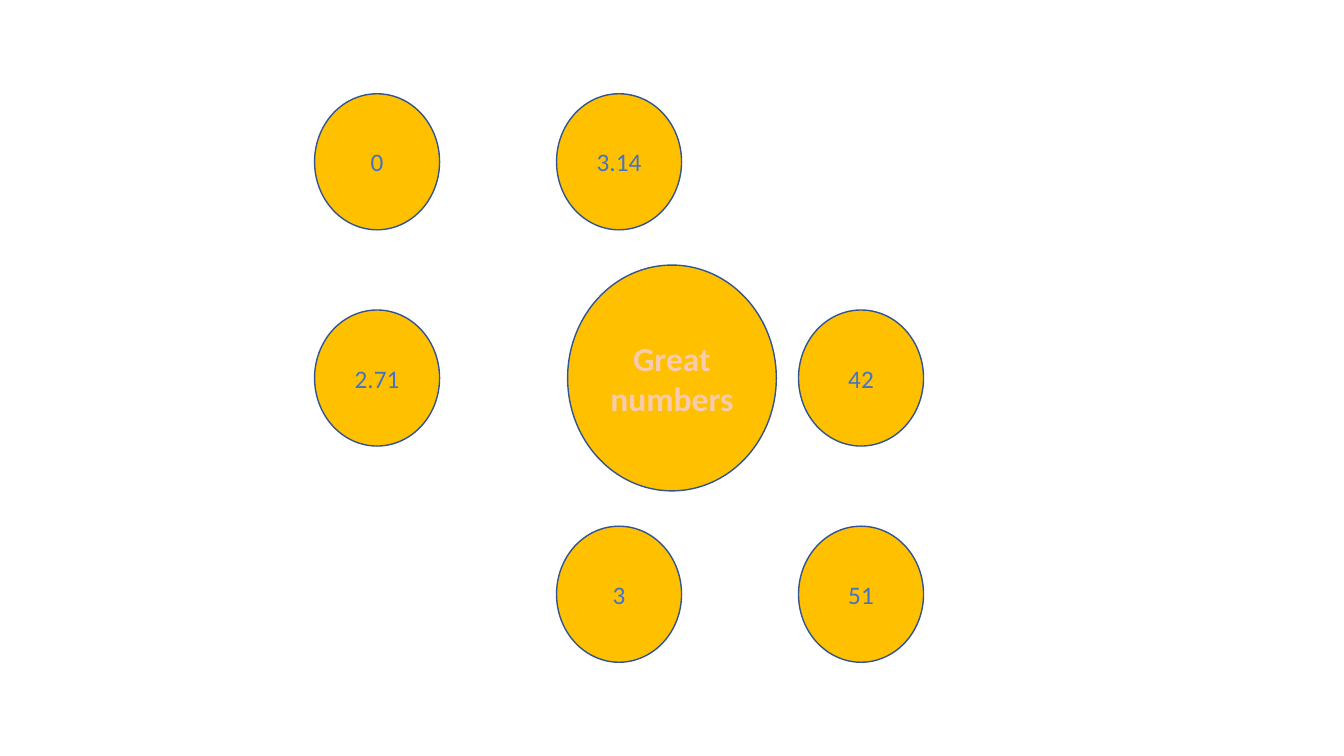
from dataclasses import dataclass

from lxml.etree import SubElement
from pptx import Presentation
from pptx.dml.color import RGBColor
from pptx.enum.shapes import MSO_SHAPE
from pptx.enum.text import MSO_ANCHOR, PP_ALIGN
from pptx.oxml.ns import qn
from pptx.slide import Slide
from pptx.text.text import Font
from pptx.util import Inches, Pt

GOLD = RGBColor(0xFF, 0xC0, 0x00)
NAVY = RGBColor(0x32, 0x54, 0x91)
BLUE = RGBColor(0x44, 0x72, 0xC4)
PEACH = RGBColor(0xF8, 0xCB, 0xAD)
ORANGE = RGBColor(0xED, 0x7D, 0x31)

# Grid of small circles, in inches
LEFT, TOP = 3.12, 0.93
COL, ROW = 2.4, 2.145
WIDE, HIGH = 1.24, 1.35


@dataclass
class Number:
    text: str
    col: int
    row: int


NUMBERS = [
    Number("0", 0, 0),
    Number("42", 2, 1),
    Number("2.71", 0, 1),
    Number("3", 1, 2),
    Number("3.14", 1, 0),
    Number("51", 2, 2),
]


def add_circle(slide: Slide, text: str, left: float, top: float, wide: float,
               high: float, size: int, color: RGBColor) -> Font:
    """Draw a gold circle with centred text and return the text's font."""
    circle = slide.shapes.add_shape(
        MSO_SHAPE.OVAL, Inches(left), Inches(top), Inches(wide), Inches(high))
    circle.shadow.inherit = False
    circle.fill.solid()
    circle.fill.fore_color.rgb = GOLD
    circle.line.color.rgb = NAVY
    circle.line.width = Pt(1)
    frame = circle.text_frame
    frame.text = text
    frame.word_wrap = True
    frame.vertical_anchor = MSO_ANCHOR.MIDDLE
    line = frame.paragraphs[0]
    line.alignment = PP_ALIGN.CENTER
    font = line.runs[0].font
    font.name = "Calibri"
    font.size = Pt(size)
    font.color.rgb = color
    return font


def add_outline(font: Font, color: RGBColor, width: float) -> None:
    """Outline the letters; the outline must come before the fill."""
    props = font._element
    edge = SubElement(props, qn("a:ln"), w=str(Pt(width)))
    fill = SubElement(edge, qn("a:solidFill"))
    SubElement(fill, qn("a:srgbClr"), val=str(color))
    props.insert(0, edge)


def main() -> None:
    deck = Presentation()
    deck.slide_width, deck.slide_height = Inches(13.33), Inches(7.5)
    slide = deck.slides.add_slide(deck.slide_layouts[6])

    # Central circle
    font = add_circle(slide, "Great numbers", 5.63, 2.63, 2.07, 2.24, 24, PEACH)
    font.bold = True
    add_outline(font, ORANGE, 1.75)

    # Numbers around it
    for num in NUMBERS:
        add_circle(slide, num.text, LEFT + num.col * COL, TOP + num.row * ROW,
                   WIDE, HIGH, 18, BLUE)

    deck.save("out.pptx")


if __name__ == "__main__":
    main()
